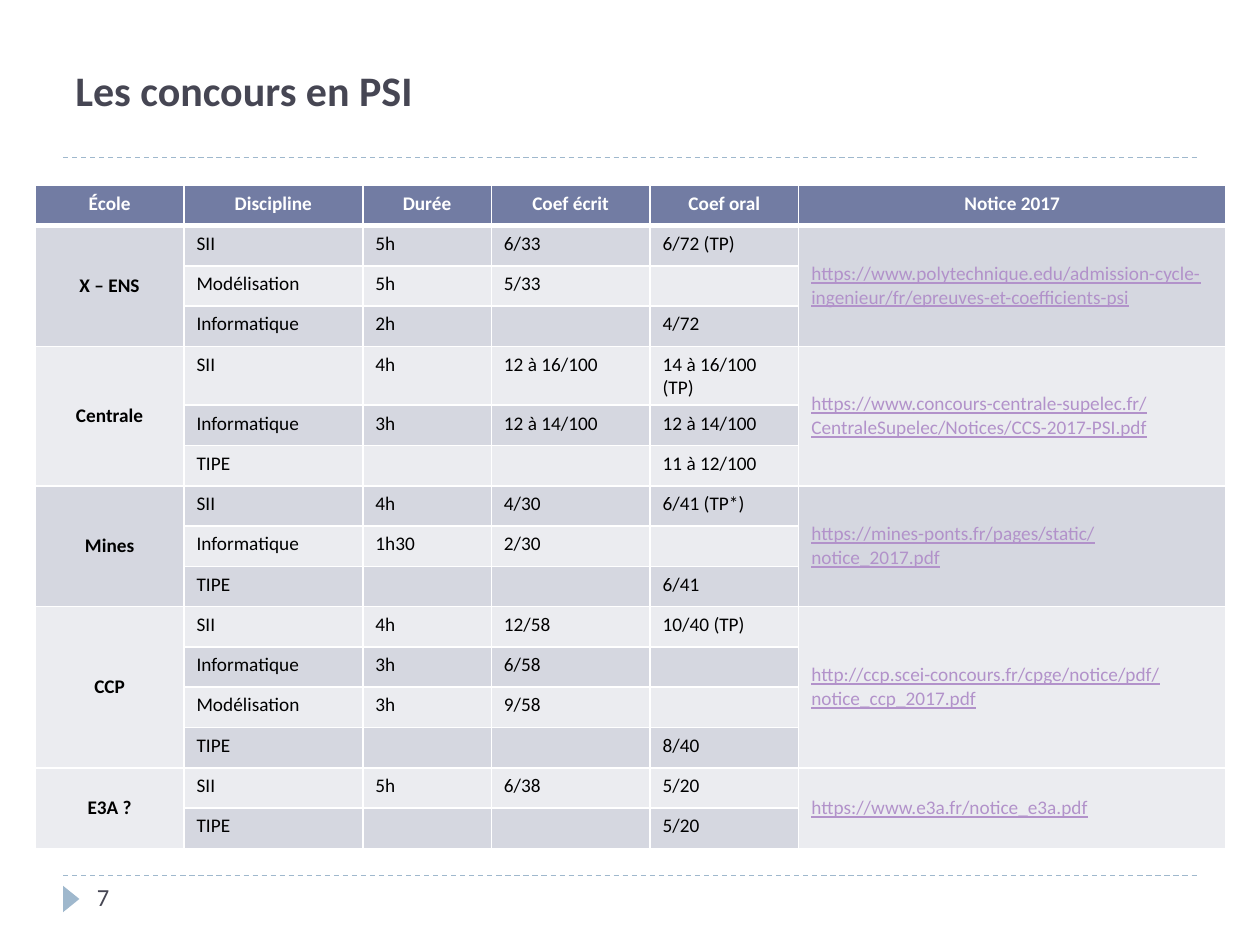
from dataclasses import dataclass

from lxml import etree
from pptx import Presentation
from pptx.dml.color import RGBColor
from pptx.enum.dml import MSO_LINE
from pptx.enum.shapes import MSO_CONNECTOR, MSO_SHAPE
from pptx.enum.text import MSO_ANCHOR, PP_ALIGN
from pptx.oxml.ns import qn
from pptx.util import Inches, Pt

STRAIGHT = MSO_CONNECTOR.STRAIGHT
TRIANGLE = MSO_SHAPE.ISOSCELES_TRIANGLE
DASH = MSO_LINE.DASH
TOP, MIDDLE = MSO_ANCHOR.TOP, MSO_ANCHOR.MIDDLE
LEFT, CENTER = PP_ALIGN.LEFT, PP_ALIGN.CENTER

FONT = "Calibri"
TABLE_SIZE = 11
WHITE = RGBColor(0xFF, 0xFF, 0xFF)
BLACK = RGBColor(0x00, 0x00, 0x00)
SLATE = RGBColor(0x46, 0x46, 0x53)
PALE_BLUE = RGBColor(0x9F, 0xB8, 0xCD)
HEADER_BLUE = RGBColor(0x72, 0x7C, 0xA3)
BAND_DARK = RGBColor(0xD5, 0xD7, 0xE0)
BAND_LIGHT = RGBColor(0xEB, 0xEC, 0xF0)
LINK = RGBColor(0xB2, 0x92, 0xCA)


@dataclass
class School:
    name: str
    notice: str
    # Discipline, duration, written weight, oral weight
    exams: list[tuple[str, str, str, str]]


HEADERS = ["École", "Discipline", "Durée", "Coef écrit", "Coef oral", "Notice 2017"]
COLUMN_WIDTHS = [1.18, 1.42, 1.02, 1.26, 1.18, 3.39]
NOTICE_COLUMN = len(HEADERS) - 1
ROW_HEIGHT = 0.32

SCHOOLS = [
    School(
        "X – ENS",
        "https://www.polytechnique.edu/admission-cycle-ingenieur/fr/epreuves-et-coefficients-psi",
        [
            ("SII", "5h", "6/33", "6/72 (TP)"),
            ("Modélisation", "5h", "5/33", ""),
            ("Informatique", "2h", "", "4/72"),
        ],
    ),
    School(
        "Centrale",
        "https://www.concours-centrale-supelec.fr/CentraleSupelec/Notices/CCS-2017-PSI.pdf",
        [
            ("SII", "4h", "12 à 16/100", "14 à 16/100 (TP)"),
            ("Informatique", "3h", "12 à 14/100", "12 à 14/100"),
            ("TIPE", "", "", "11 à 12/100"),
        ],
    ),
    School(
        "Mines",
        "https://mines-ponts.fr/pages/static/notice_2017.pdf",
        [
            ("SII", "4h", "4/30", "6/41 (TP*)"),
            ("Informatique", "1h30", "2/30", ""),
            ("TIPE", "", "", "6/41"),
        ],
    ),
    School(
        "CCP",
        "http://ccp.scei-concours.fr/cpge/notice/pdf/notice_ccp_2017.pdf",
        [
            ("SII", "4h", "12/58", "10/40 (TP)"),
            ("Informatique", "3h", "6/58", ""),
            ("Modélisation", "3h", "9/58", ""),
            ("TIPE", "", "", "8/40"),
        ],
    ),
    School(
        "E3A ?",
        "https://www.e3a.fr/notice_e3a.pdf",
        [("SII", "5h", "6/38", "5/20"), ("TIPE", "", "", "5/20")],
    ),
]


def write_text(text_frame, text: str, *, size: float = TABLE_SIZE,
               color: RGBColor = BLACK, bold: bool = False,
               underline: bool = False, align=LEFT) -> None:
    paragraph = text_frame.paragraphs[0]
    paragraph.alignment = align
    if not text:
        # An empty cell keeps the text size, so its row does not grow
        etree.SubElement(paragraph._p, qn("a:endParaRPr"), sz=str(size * 100))
        return
    run = paragraph.add_run()
    run.text = text
    font = run.font
    font.name, font.size, font.bold = FONT, Pt(size), bold
    font.underline = underline
    font.color.rgb = color


def add_label(slide, text: str, left: float, top: float, width: float,
              height: float, *, anchor=TOP, **text_format) -> None:
    text_frame = slide.shapes.add_textbox(
        Inches(left), Inches(top), Inches(width), Inches(height)).text_frame
    text_frame.word_wrap = True
    text_frame.vertical_anchor = anchor
    write_text(text_frame, text, **text_format)


def add_rule(slide, top: float) -> None:
    rule = slide.shapes.add_connector(
        STRAIGHT, Inches(0.5), Inches(top), Inches(9.5), Inches(top))
    rule.line.color.rgb = PALE_BLUE
    rule.line.width = Pt(0.75)
    rule.line.dash_style = DASH
    etree.SubElement(rule._element.spPr, qn("a:effectLst"))


def style_cell(cell, row: int) -> None:
    """Draw the white borders, then the header or band fill."""
    properties = cell._tc.get_or_add_tcPr()
    widths = {"lnL": 1, "lnR": 1, "lnT": 3 if row == 1 else 1, "lnB": 3 if row == 0 else 1}
    for side, width in widths.items():
        border = etree.SubElement(properties, qn(f"a:{side}"), w=str(Pt(width)))
        fill = etree.SubElement(border, qn("a:solidFill"))
        etree.SubElement(fill, qn("a:srgbClr"), val=str(WHITE))
    cell.fill.solid()
    band = BAND_DARK if row % 2 else BAND_LIGHT
    cell.fill.fore_color.rgb = band if row else HEADER_BLUE


def add_exam_table(slide) -> None:
    row_count = 1 + sum(len(school.exams) for school in SCHOOLS)
    table = slide.shapes.add_table(
        row_count, len(HEADERS), Inches(0.28), Inches(1.47),
        Inches(sum(COLUMN_WIDTHS)), Inches(ROW_HEIGHT * row_count)).table
    for column, width in zip(table.columns, COLUMN_WIDTHS):
        column.width = Inches(width)
    for row_index, row in enumerate(table.rows):
        row.height = Inches(ROW_HEIGHT)
        for cell in row.cells:
            style_cell(cell, row_index)

    for column, header in enumerate(HEADERS):
        write_text(table.cell(0, column).text_frame, header,
                   color=WHITE, bold=True, align=CENTER)

    first_row = 1
    for school in SCHOOLS:
        last_row = first_row + len(school.exams) - 1
        for row, exam in enumerate(school.exams, first_row):
            outer = ("", "")
            if row == first_row:
                outer = (school.name, school.notice)
            write_text(table.cell(row, 0).text_frame, outer[0], bold=True, align=CENTER)
            for column, value in enumerate(exam, 1):
                write_text(table.cell(row, column).text_frame, value)
            write_text(table.cell(row, NOTICE_COLUMN).text_frame, outer[1],
                       color=LINK, underline=True)
        # School and notice span all the exams of the school
        for column in (0, NOTICE_COLUMN):
            cell = table.cell(first_row, column)
            cell.merge(table.cell(last_row, column))
            cell.vertical_anchor = MIDDLE
        first_row = last_row + 1


def main() -> None:
    presentation = Presentation()
    presentation.slide_width, presentation.slide_height = Inches(10), Inches(7.5)
    slide = presentation.slides.add_slide(presentation.slide_layouts[6])

    # Rules and page marker
    for top in (6.95, 1.25):
        add_rule(slide, top)
    marker = slide.shapes.add_shape(
        TRIANGLE, Inches(0.46), Inches(7.07), Inches(0.21), Inches(0.13))
    marker.rotation = 90
    marker.shadow.inherit = False
    marker.fill.solid()
    marker.fill.fore_color.rgb = PALE_BLUE
    marker.line.fill.background()

    # Page number and title
    add_label(slide, "7", 0.67, 6.95, 2.17, 0.4, size=14, color=SLATE)
    add_label(slide, "Les concours en PSI", 0.5, 0.17, 9.07, 1.08,
              anchor=MIDDLE, size=24, color=SLATE, bold=True)

    add_exam_table(slide)
    presentation.save("out.pptx")


if __name__ == "__main__":
    main()
